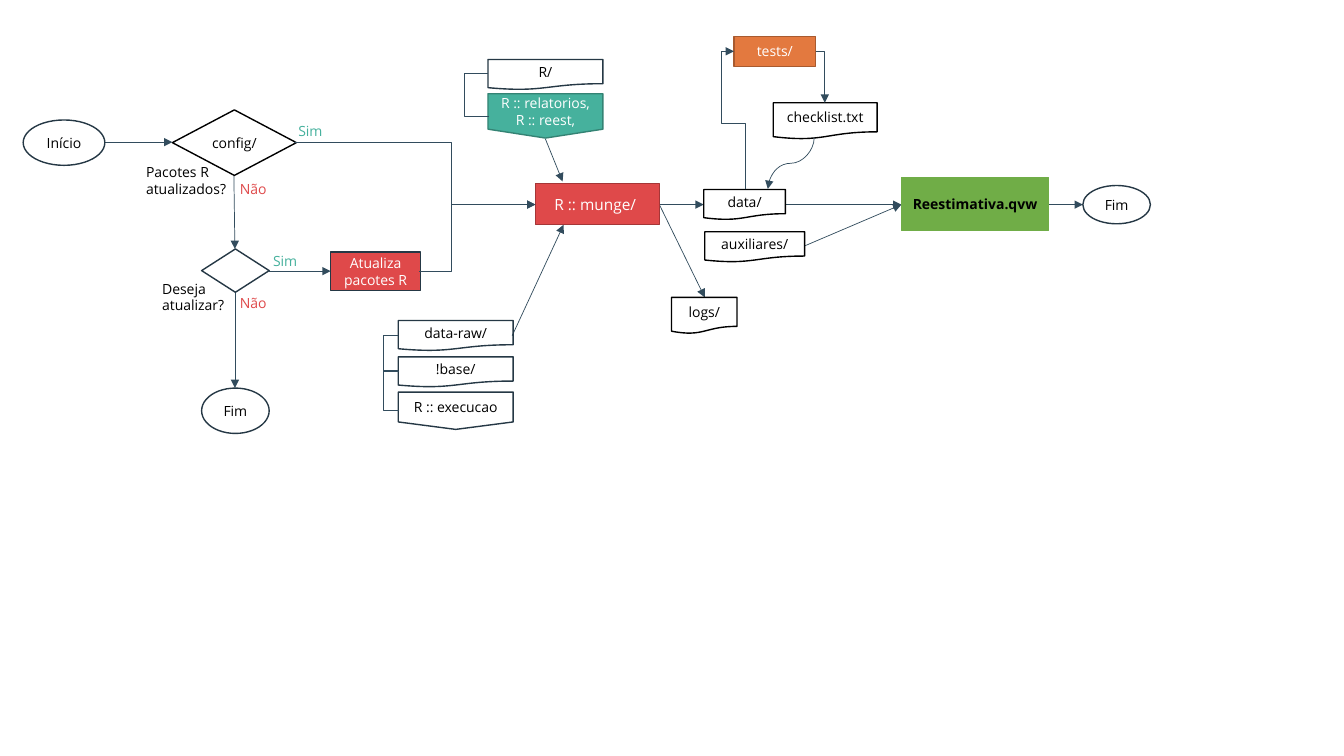
"""Builds a flowchart slide of an R data pipeline."""
from lxml.etree import SubElement
from pptx import Presentation
from pptx.dml.color import RGBColor
from pptx.enum.shapes import MSO_CONNECTOR, MSO_SHAPE
from pptx.enum.text import MSO_ANCHOR, MSO_AUTO_SIZE, PP_ALIGN
from pptx.oxml.ns import qn
from pptx.util import Inches, Pt

BLACK, WHITE, NAVY, LINK = "000000", "FFFFFF", "253845", "324C5D"
RED, TEAL, GREEN, ORANGE = "DF494A", "46B19D", "70AD47", "E3793F"

DOC, OFFPAGE = MSO_SHAPE.FLOWCHART_DOCUMENT, MSO_SHAPE.FLOWCHART_OFFPAGE_CONNECTOR
END, BOX = MSO_SHAPE.FLOWCHART_CONNECTOR, MSO_SHAPE.RECTANGLE
DECISION, DIAMOND = MSO_SHAPE.FLOWCHART_DECISION, MSO_SHAPE.DIAMOND

NODES = [
    ("Início", END, (0.23, 1.19, 0.81, 0.45), NAVY, {}),
    ("config/", DECISION, (1.71, 1.09, 1.23, 0.65), BLACK, {"inset": 0.04}),
    ("", DIAMOND, (2, 2.47, 0.67, 0.43), NAVY, {}),
    ("Fim", END, (2, 3.85, 0.67, 0.45), NAVY, {}),
    ("Atualiza pacotes R", BOX, (3.28, 2.5, 0.89, 0.38), NAVY, {"fill": RED, "color": WHITE}),
    ("data-raw/", DOC, (3.95, 3.18, 1.14, 0.3), NAVY, {}),
    ("!base/", DOC, (3.95, 3.54, 1.14, 0.3), NAVY, {}),
    ("R :: execucao", OFFPAGE, (3.95, 3.89, 1.14, 0.37), NAVY, {}),
    ("R/", DOC, (4.84, 0.59, 1.14, 0.3), NAVY, {}),
    ("R :: relatorios, R :: reest,", OFFPAGE, (4.84, 0.93, 1.14, 0.44), "348374",
     {"fill": TEAL, "color": WHITE}),
    ("R :: munge/ ", BOX, (5.31, 1.82, 1.23, 0.41), "A53637",
     {"fill": RED, "color": WHITE, "size": 11}),
    ("data/", DOC, (6.98, 1.88, 0.81, 0.3), BLACK, {}),
    ("auxiliares/", DOC, (6.99, 2.3, 0.99, 0.3), BLACK, {}),
    ("logs/", DOC, (6.66, 2.95, 0.65, 0.36), BLACK, {}),
    ("tests/", BOX, (7.28, 0.36, 0.81, 0.3), "A85A2F", {"fill": ORANGE, "color": WHITE}),
    ("checklist.txt", DOC, (7.67, 1.02, 1.03, 0.36), BLACK, {}),
    ("Reestimativa.qvw", BOX, (8.94, 1.76, 1.46, 0.53), GREEN, {"fill": GREEN, "bold": True}),
    ("Fim", END, (10.74, 1.84, 0.67, 0.38), NAVY, {}),
]

LABELS = [
    ("Pacotes R atualizados?", (1.35, 1.57, 1.09, 0.44), BLACK),
    ("Deseja atualizar?", (1.51, 2.73, 0.87, 0.44), BLACK),
    ("Sim", (2.86, 1.17, 0.52, 0.27), TEAL),
    ("Sim", (2.61, 2.46, 0.52, 0.27), TEAL),
    ("Não", (2.28, 1.74, 0.62, 0.27), RED),
    ("Não", (2.28, 2.87, 0.62, 0.27), RED),
]

ARROWS = [
    (1.04, 1.41, 1.71, 1.41), (2.32, 1.74, 2.33, 2.47), (2.33, 2.9, 2.33, 3.85),
    (2.67, 2.69, 3.28, 2.69), (5.08, 3.33, 5.59, 2.23), (5.41, 1.38, 5.58, 1.8),
    (6.54, 2.03, 6.98, 2.03), (6.54, 2.03, 6.99, 2.95), (7.79, 2.03, 8.94, 2.03),
    (7.98, 2.44, 8.94, 2.03), (10.4, 2.03, 10.74, 2.03),
]

BENDS = [
    ((4.16, 2.69, 5.31, 2.03), "bentConnector3", {"adj": [0.28]}),
    ((2.92, 1.41, 5.31, 2.03), "bentConnector3", {"adj": [0.65]}),
    ((8.09, 0.51, 8.18, 1.02), "bentConnector2", {}),
    ((6.65, 1.25, 8.02, 1.14), "bentConnector4", {"adj": [0.48, 2.19], "rot": 270}),
    ((7.59, 1.39, 8.1, 1.85), "curvedConnector3", {"adj": [0.5], "rot": 90}),
]

BRACKETS = [(3.95, 3.33, 3.68, 3.8), (3.95, 3.67, 4.07, 3.8), (4.84, 0.73, 1.15, 4.6)]


def rgb(value):
    return RGBColor.from_string(value)


def write(sp, text, color=BLACK, size=10, bold=False, align=PP_ALIGN.CENTER,
          anchor=MSO_ANCHOR.MIDDLE, inset=0.1):
    tf = sp.text_frame
    tf.word_wrap, tf.vertical_anchor = True, anchor
    tf.margin_left = tf.margin_right = Inches(inset)
    p = tf.paragraphs[0]
    p.alignment = align
    r = p.add_run()
    r.text = text
    r.font.name, r.font.size, r.font.bold = "Open Sans", Pt(size), bold
    r.font.color.rgb = rgb(color)


def add_node(s, text, kind, place, line, fill=None, **style):
    sp = s.shapes.add_shape(kind, *map(Inches, place))
    sp.shadow.inherit = False
    if fill:
        sp.fill.solid()
        sp.fill.fore_color.rgb = rgb(fill)
    else:
        sp.fill.background()
    sp.line.color.rgb, sp.line.width = rgb(line), Pt(1)
    if text:
        write(sp, text, **style)


def add_label(s, text, place, color):
    sp = s.shapes.add_textbox(*map(Inches, place))
    write(sp, text, color, align=PP_ALIGN.LEFT, anchor=MSO_ANCHOR.TOP)
    sp.text_frame.auto_size = MSO_AUTO_SIZE.SHAPE_TO_FIT_TEXT


def add_link(s, ends, preset="line", adj=(), rot=0, arrow=True):
    sp = s.shapes.add_connector(MSO_CONNECTOR.STRAIGHT, *map(Inches, ends))
    sp.line.color.rgb, sp.line.width = rgb(LINK), Pt(0.5)
    props = sp._element.spPr
    geom = props.find(qn("a:prstGeom"))
    geom.set("prst", preset)
    guides = geom.find(qn("a:avLst"))
    for i, value in enumerate(adj, 1):
        SubElement(guides, qn("a:gd"), name=f"adj{i}", fmla=f"val {round(value * 100000)}")
    if rot:
        props.find(qn("a:xfrm")).set("rot", str(rot * 60000))
    if arrow:
        SubElement(props.find(qn("a:ln")), qn("a:tailEnd"), type="triangle")
    SubElement(props, qn("a:effectLst"))


prs = Presentation()
prs.slide_width, prs.slide_height = Inches(13.33), Inches(7.5)
s = prs.slides.add_slide(prs.slide_layouts[6])
for ends in ARROWS:
    add_link(s, ends)
for text, kind, place, line, style in NODES:
    add_node(s, text, kind, place, line, **style)
for label in LABELS:
    add_label(s, *label)
for ends, preset, options in BENDS:
    add_link(s, ends, preset, **options)
step = 0.01
for x, top, bottom, spine in BRACKETS:
    reach = (x + step - spine) / step
    add_link(s, (x, top, x + step, bottom), "bentConnector3", [reach], rot=180, arrow=False)
prs.save("out.pptx")
